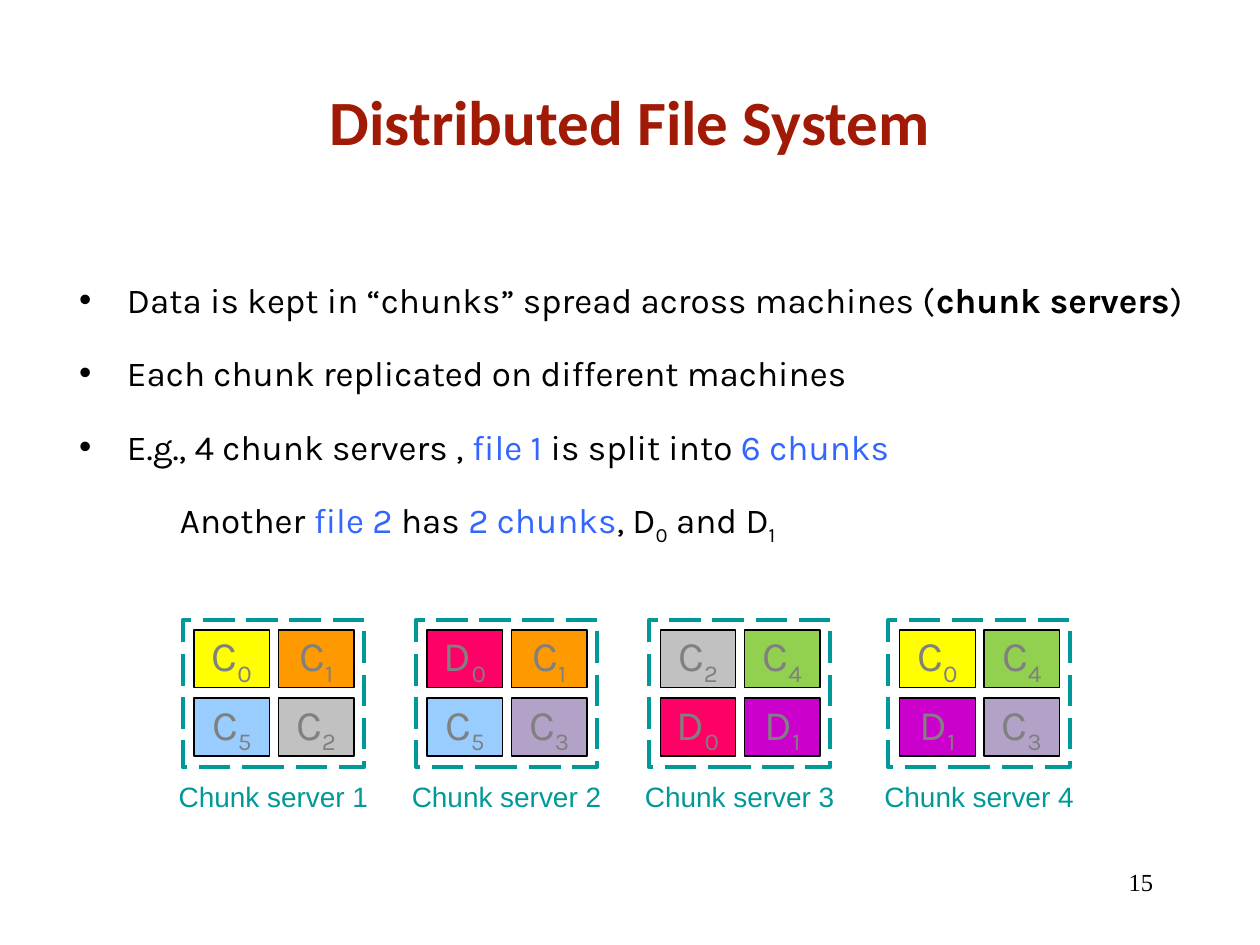
from dataclasses import dataclass
from typing import NamedTuple

from lxml import etree
from pptx import Presentation
from pptx.dml.color import RGBColor
from pptx.enum.dml import MSO_LINE
from pptx.enum.shapes import MSO_SHAPE
from pptx.enum.text import MSO_ANCHOR, MSO_AUTO_SIZE, PP_ALIGN
from pptx.oxml.ns import qn
from pptx.util import Inches, Pt

RECTANGLE = MSO_SHAPE.RECTANGLE
LONG_DASH = MSO_LINE.LONG_DASH
TOP, MIDDLE = MSO_ANCHOR.TOP, MSO_ANCHOR.MIDDLE
LEFT, CENTER, RIGHT = PP_ALIGN.LEFT, PP_ALIGN.CENTER, PP_ALIGN.RIGHT
FIT_SHAPE = MSO_AUTO_SIZE.SHAPE_TO_FIT_TEXT


@dataclass(frozen=True)
class TextStyle:
    face: str
    size: int
    color: str
    bold: bool = False


@dataclass(frozen=True)
class Theme:
    title: TextStyle = TextStyle("Calibri", 36, "A01A06", True)
    body: TextStyle = TextStyle("Karla", 20, "000000")
    chunk: TextStyle = TextStyle("Karla", 24, "808080")
    server: TextStyle = TextStyle("Arial", 16, "009999")
    number: TextStyle = TextStyle("Times New Roman", 14, "000000")
    highlight: str = "3366FF"
    outline: str = "000000"


THEME = Theme()
CHUNK_FILLS = {
    "C0": "FFFF00", "C1": "FF9900", "C2": "C1C1C1", "C3": "B3A2C7",
    "C4": "92D050", "C5": "99CCFF", "D0": "FF0066", "D1": "CC00CC",
}


class Span(NamedTuple):
    text: str
    color: str = ""
    bold: bool = False
    subscript: bool = False


class Point(NamedTuple):
    spans: list[Span]
    bulleted: bool = True


class Server(NamedTuple):
    name: str
    left: float
    chunks: list[str]  # row by row, two to a row


def blue(text: str) -> Span:
    return Span(text, THEME.highlight)


def sub(text: str) -> Span:
    return Span(text, subscript=True)


POINTS = [
    Point([Span("Data is kept in “chunks” spread across machines ("),
           Span("chunk servers", bold=True), Span(")")]),
    Point([Span("Each chunk replicated on different machines")]),
    Point([Span("E.g., 4 chunk servers , "), blue("file 1"),
           Span(" is split into "), blue("6 chunks")]),
    Point([Span("Another "), blue("file 2"), Span(" has "), blue("2 chunks"),
           Span(", D"), sub("0"), Span(" and D"), sub("1")], bulleted=False),
]
SERVERS = [
    Server("Chunk server 1", 1.45, ["C0", "C1", "C5", "C2"]),
    Server("Chunk server 2", 3.3, ["D0", "C1", "C5", "C3"]),
    Server("Chunk server 3", 5.15, ["C2", "C4", "D0", "D1"]),
    Server("Chunk server 4", 7.05, ["C0", "C4", "D1", "C3"]),
]
SERVER_TOP, SERVER_WIDTH, SERVER_HEIGHT = 4.92, 1.44, 1.17
CHUNK_WIDTH, CHUNK_HEIGHT = 0.6, 0.46
CHUNK_INSET, CHUNK_TOP = 0.09, 5.0
COLUMN_STEP, ROW_STEP = 0.67, 0.54


def write_spans(paragraph, spans: list[Span], style: TextStyle) -> None:
    for span in spans:
        run = paragraph.add_run()
        run.text = span.text
        formats = {"name": style.face, "size": Pt(style.size),
                   "bold": style.bold or span.bold}
        for attribute, value in formats.items():
            setattr(run.font, attribute, value)
        run.font.color.rgb = RGBColor.from_string(span.color or style.color)
        if span.subscript:
            run.font._element.set("baseline", "-25000")


def add_text(slide, box: tuple[float, ...], text: str, style: TextStyle,
             align=LEFT, anchor=TOP, wrap: bool = True) -> None:
    frame = slide.shapes.add_textbox(*map(Inches, box)).text_frame
    frame.word_wrap, frame.vertical_anchor = wrap, anchor
    if not wrap:
        frame.auto_size = FIT_SHAPE
    paragraph = frame.paragraphs[0]
    paragraph.alignment = align
    write_spans(paragraph, [Span(text)], style)


def indent(paragraph, left: float, first: float = 0) -> None:
    properties = paragraph._p.get_or_add_pPr()
    properties.set("marL", str(Inches(left)))
    properties.set("indent", str(Inches(first)))


def add_bullet(paragraph) -> None:
    properties = paragraph._p.get_or_add_pPr()
    color = etree.SubElement(properties, qn("a:buClr"))
    etree.SubElement(color, qn("a:srgbClr"), val=THEME.body.color)
    etree.SubElement(properties, qn("a:buFont"), typeface="Arial")
    etree.SubElement(properties, qn("a:buChar"), char="•")


def add_points(slide) -> None:
    box = slide.shapes.add_textbox(Inches(0.53), Inches(2.16), Inches(9.27), Inches(2.2))
    frame = box.text_frame
    frame.word_wrap, frame.auto_size = True, FIT_SHAPE
    for index, point in enumerate(POINTS):
        paragraph = frame.add_paragraph() if index else frame.paragraphs[0]
        paragraph.space_after = Pt(18)
        if point.bulleted:
            indent(paragraph, 0.38, -0.38)
            add_bullet(paragraph)
        else:
            indent(paragraph, 0.8)
        write_spans(paragraph, point.spans, THEME.body)


def add_rectangle(slide, box: tuple[float, ...], line_color: str, line_width: float):
    rectangle = slide.shapes.add_shape(RECTANGLE, *map(Inches, box))
    rectangle.shadow.inherit = False
    rectangle.line.color.rgb = RGBColor.from_string(line_color)
    rectangle.line.width = Pt(line_width)
    return rectangle


def add_chunk(slide, label: str, left: float, top: float) -> None:
    chunk = add_rectangle(slide, (left, top, CHUNK_WIDTH, CHUNK_HEIGHT),
                          THEME.outline, 0.75)
    chunk.fill.solid()
    chunk.fill.fore_color.rgb = RGBColor.from_string(CHUNK_FILLS[label])
    frame = chunk.text_frame
    formats = {"margin_left": 0, "margin_top": 0, "margin_right": 0,
               "margin_bottom": 0, "vertical_anchor": TOP, "word_wrap": True}
    for attribute, value in formats.items():
        setattr(frame, attribute, value)
    paragraph = frame.paragraphs[0]
    paragraph.alignment = CENTER
    write_spans(paragraph, [Span(label[0]), sub(label[1])], THEME.chunk)


def add_server(slide, server: Server) -> None:
    add_text(slide, (server.left - 0.13, 6.14, 1.71, 0.37), server.name,
             THEME.server, wrap=False)
    border = add_rectangle(slide, (server.left, SERVER_TOP, SERVER_WIDTH, SERVER_HEIGHT),
                           THEME.server.color, 2.25)
    border.fill.background()
    border.line.dash_style = LONG_DASH
    for index, label in enumerate(server.chunks):
        row, column = divmod(index, 2)
        add_chunk(slide, label, server.left + CHUNK_INSET + column * COLUMN_STEP,
                  CHUNK_TOP + row * ROW_STEP)


def main() -> None:
    deck = Presentation()
    deck.slide_width, deck.slide_height = Inches(10), Inches(7.5)
    slide = deck.slides.add_slide(deck.slide_layouts[6])
    add_text(slide, (0.75, 0.33, 8.5, 1.25), "Distributed File System",
             THEME.title, CENTER, MIDDLE)
    for server in SERVERS:
        add_server(slide, server)
    add_points(slide)
    add_text(slide, (7.17, 6.83, 2.08, 0.5), "15", THEME.number, RIGHT)
    deck.save("out.pptx")


if __name__ == "__main__":
    main()
